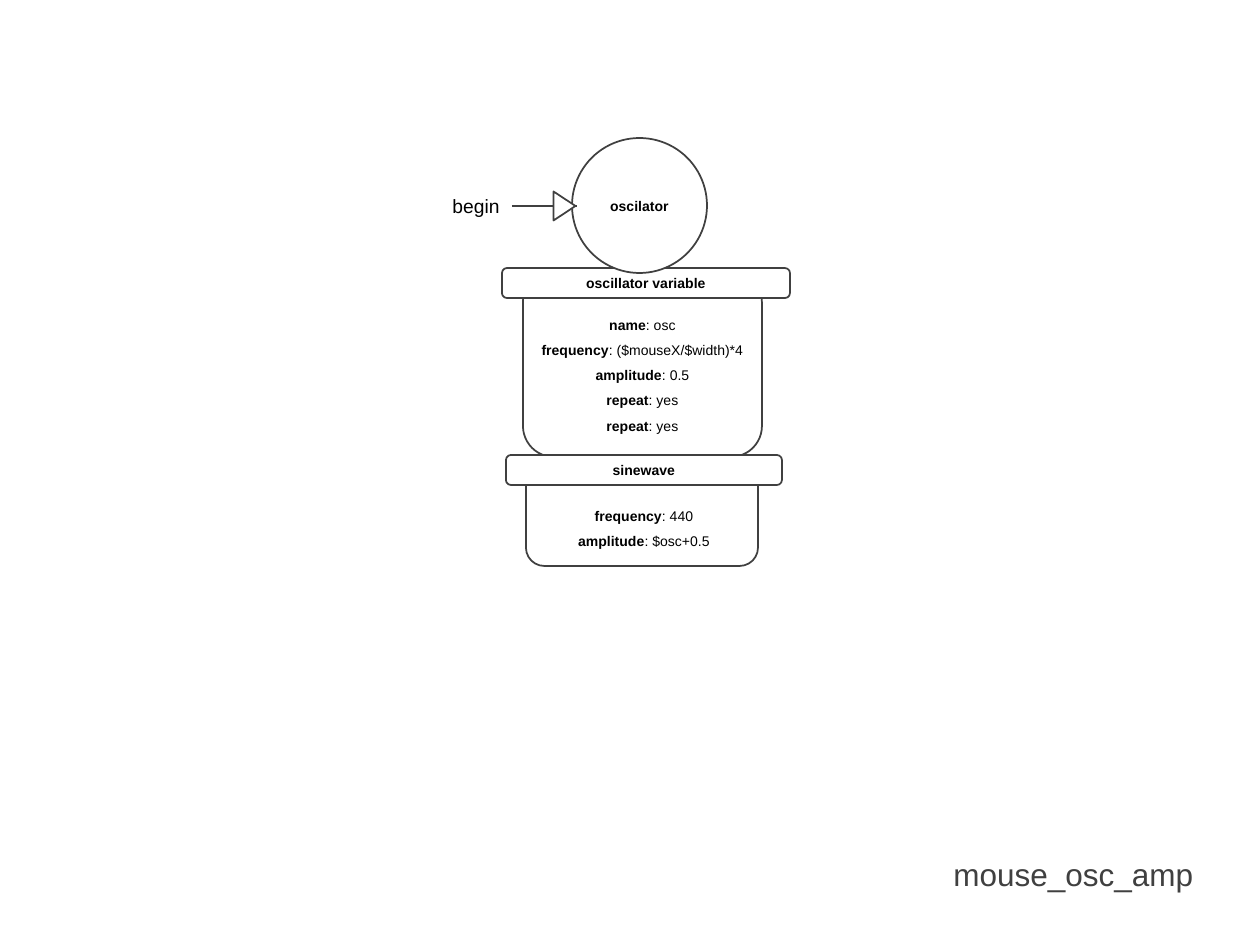
from pptx import Presentation
from pptx import util as u
from pptx.dml.color import RGBColor
from pptx.enum import shapes, text
from pptx.oxml.ns import qn
from lxml import etree

SCALE = 914400 / 126
HUES = {"ink": "000000", "edge": "404040", "paper": "FFFFFF"}
KIND = shapes.MSO_SHAPE
ALIGN = text.PP_ALIGN


def px(*nums):
    return [u.Emu(round(n * SCALE)) for n in nums]


def hue(name):
    return RGBColor.from_string(HUES[name])


def write(frame, lines, size=8, color="ink", align=ALIGN.CENTER, space=1.0,
          anchor=text.MSO_ANCHOR.TOP, wrap=True):
    frame.word_wrap = wrap
    frame.auto_size = text.MSO_AUTO_SIZE.NONE
    frame.vertical_anchor = anchor
    for i, runs in enumerate(lines):
        para = frame.add_paragraph() if i else frame.paragraphs[0]
        para.alignment = align
        para.line_spacing = space
        para.space_before = u.Pt(0)
        for words, bold in runs:
            run = para.add_run()
            run.text = words
            font = run.font
            font.name, font.size, font.bold = "Arial", u.Pt(size), bold
            font.color.rgb = hue(color)


def shape(slide, kind, box, label=None, turn=0):
    item = slide.shapes.add_shape(kind, *px(*box))
    item.shadow.inherit = False
    item.rotation = turn
    item.fill.solid()
    item.fill.fore_color.rgb = hue("paper")
    item.line.color.rgb = hue("edge")
    item.line.width = u.Pt(1)
    if label:
        write(item.text_frame, [[(label, True)]], anchor=text.MSO_ANCHOR.MIDDLE)


def note(slide, box, lines, **style):
    item = slide.shapes.add_textbox(*px(*box))
    write(item.text_frame, lines, **style)


def block(slide, body, bar, name, area, pairs):
    shape(slide, KIND.ROUNDED_RECTANGLE, body)
    shape(slide, KIND.ROUNDED_RECTANGLE, bar, name)
    lines = [[(key, True), (f": {value}", False)] for key, value in pairs]
    note(slide, area, lines, space=1.5)


def start(slide):
    line = slide.shapes.add_connector(
        shapes.MSO_CONNECTOR.STRAIGHT, *px(512, 206, 577, 206))
    line.line.color.rgb = hue("edge")
    line.line.width = u.Pt(1)
    etree.SubElement(line._element.spPr, qn("a:effectLst"))
    shape(slide, KIND.ISOSCELES_TRIANGLE, (550, 195, 29, 22), turn=90)
    note(slide, (440, 188, 73, 36), [[("begin", False)]],
         size=11, align=ALIGN.LEFT, wrap=False)


def title(slide, box, words):
    item = slide.shapes.title
    item.left, item.top, item.width, item.height = px(*box)
    write(item.text_frame, [[(words, False)]], size=18, color="edge",
          align=ALIGN.RIGHT, space=1.5)


def main():
    deck = Presentation()
    deck.slide_width, deck.slide_height = px(1260, 945)
    slide = deck.slides.add_slide(deck.slide_layouts[5])
    title(slide, (247, 830, 959, 67), "mouse_osc_amp")
    block(slide, (523, 271, 239, 186), (502, 268, 288, 30),
          "oscillator variable", (523, 302, 239, 139),
          [("name", "osc"), ("frequency", "($mouseX/$width)*4"),
           ("amplitude", "0.5"), ("repeat", "yes"), ("repeat", "yes")])
    shape(slide, KIND.OVAL, (572, 138, 135, 135), "oscilator")
    start(slide)
    block(slide, (526, 456, 232, 110), (506, 455, 276, 30),
          "sinewave", (530, 493, 228, 62),
          [("frequency", "440"), ("amplitude", "$osc+0.5")])
    deck.save("out.pptx")


if __name__ == "__main__":
    main()
